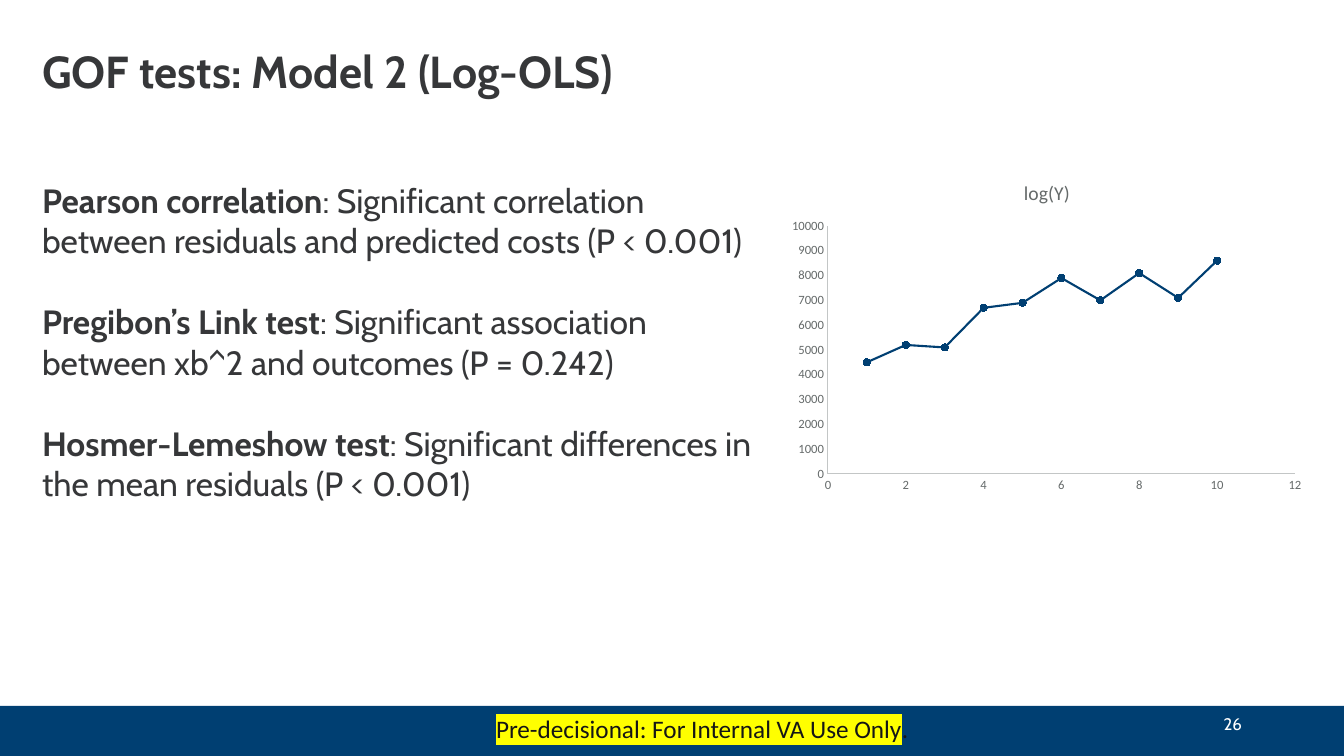
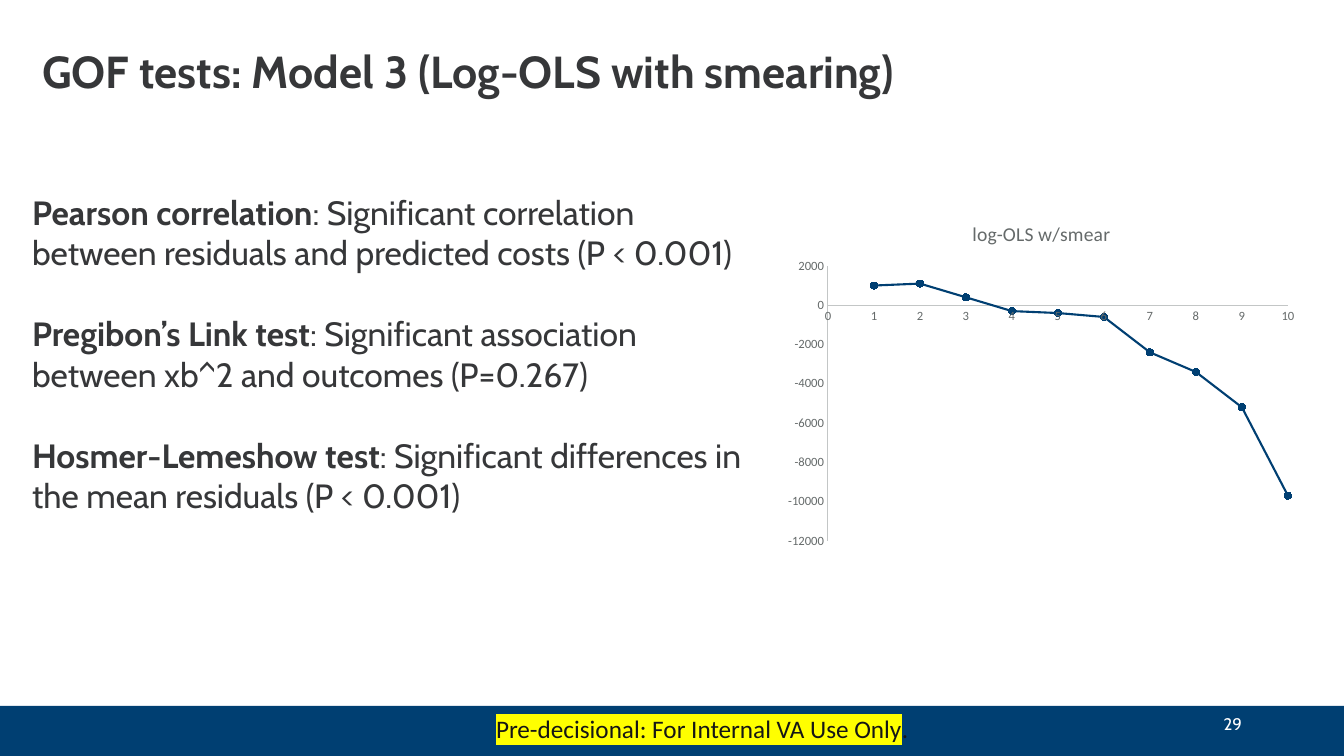
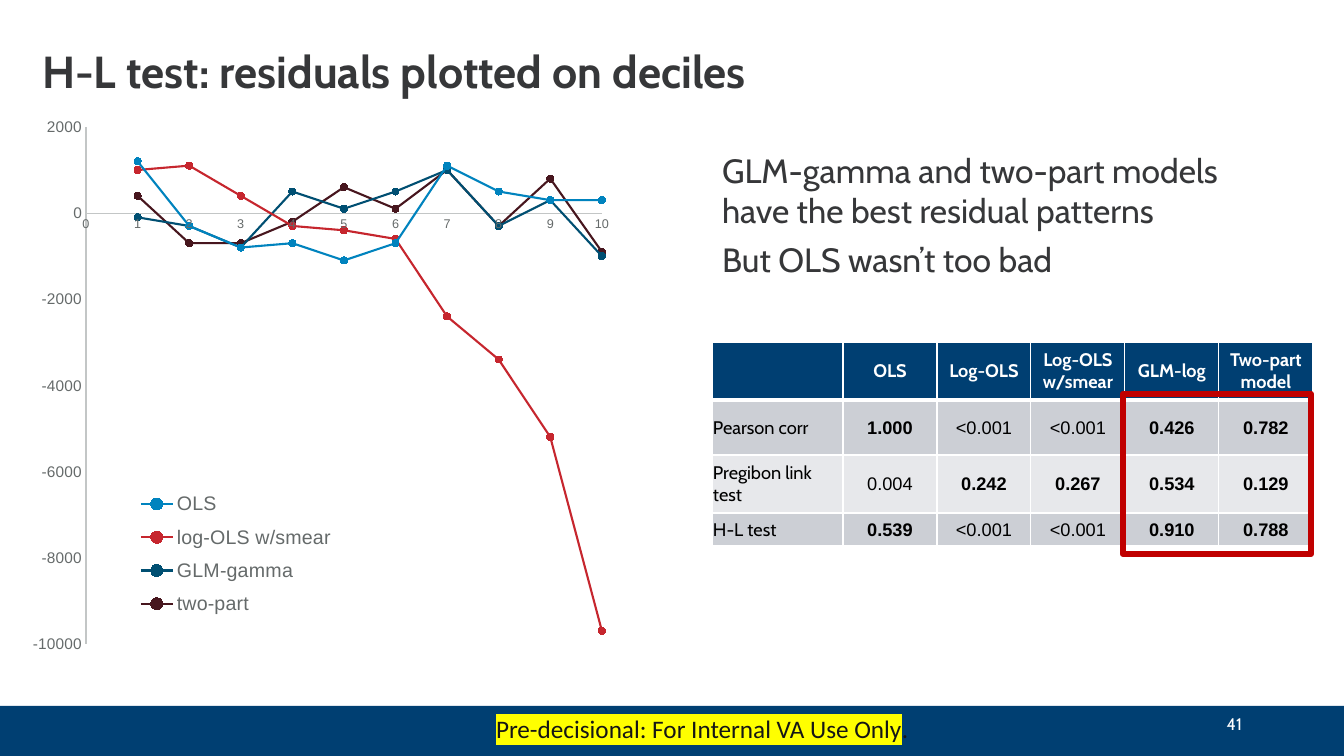
import lxml.etree
import pptx
import pptx.chart.data
import pptx.dml.color
import pptx.enum.chart
import pptx.enum.shapes
import pptx.enum.text
import pptx.oxml.ns
import pptx.util

RGB = pptx.dml.color.RGBColor
Pt = pptx.util.Pt
qn = pptx.oxml.ns.qn
ALIGN = pptx.enum.text.PP_ALIGN
MIDDLE = pptx.enum.text.MSO_ANCHOR.MIDDLE
TOP = pptx.enum.text.MSO_ANCHOR.TOP

NAVY = RGB(0x00, 0x3F, 0x72)
INK = RGB(0x36, 0x37, 0x39)
NEAR_BLACK = RGB(0x15, 0x16, 0x16)
BLACK = RGB(0x00, 0x00, 0x00)
WHITE = RGB(0xFF, 0xFF, 0xFF)
YELLOW = RGB(0xFF, 0xFF, 0x00)
AXIS_TEXT = RGB(0x65, 0x6A, 0x6A)
AXIS_LINE = RGB(0xC3, 0xC6, 0xC6)
ROW_DARK = RGB(0xCC, 0xCF, 0xD5)
ROW_LIGHT = RGB(0xE7, 0xE8, 0xEB)
FRAME_RED = RGB(0xC0, 0x00, 0x00)
SKY = RGB(0x00, 0x83, 0xBE)
RED = RGB(0xC6, 0x26, 0x2E)
TEAL = RGB(0x00, 0x4F, 0x72)
MAROON = RGB(0x47, 0x16, 0x1E)

SCALE = 914400 / 100.8
WIDTH, HEIGHT = 1344, 756
BAND_TOP = 706
SMEAR = [1000, 1100, 400, -300, -400, -600, -2400, -3400, -5200, -9700]


def px(length):
    return round(length * SCALE)


def apply(target, values):
    for name, value in values.items():
        setattr(target, name, value)


def set_font(font, name, size, colour, bold=False):
    apply(font, {"name": name, "size": Pt(size), "bold": bold})
    font.color.rgb = colour


def set_place(part, box, frame, inner=False):
    """Fix a chart part at a px box given on the slide."""
    for old in part.findall(qn("c:layout")):
        part.remove(old)
    layout = lxml.etree.Element(qn("c:layout"))
    manual = lxml.etree.SubElement(layout, qn("c:manualLayout"))
    left, top, width, height = frame
    values = {"layoutTarget": "inner"} if inner else {}
    values |= {"xMode": "edge", "yMode": "edge",
               "x": (box[0] - left) / width, "y": (box[1] - top) / height,
               "w": box[2] / width, "h": box[3] / height}
    for tag, value in values.items():
        lxml.etree.SubElement(manual, qn("c:" + tag)).set("val", str(value))
    part.insert(0 if inner else 1, layout)


def set_borders(cell, widths):
    properties = cell._tc.get_or_add_tcPr()
    for side, width in widths.items():
        line = lxml.etree.SubElement(properties, qn("a:ln" + side), w=str(Pt(width)))
        fill = lxml.etree.SubElement(line, qn("a:solidFill"))
        lxml.etree.SubElement(fill, qn("a:srgbClr"), val=str(WHITE))


class Deck:
    """Holds the shared style and the slide being built."""

    def __init__(self):
        self.file = pptx.Presentation()
        apply(self.file, {"slide_width": px(WIDTH), "slide_height": px(HEIGHT)})

    def place(self, shape, box):
        apply(shape, dict(zip(("left", "top", "width", "height"), map(px, box))))
        return shape

    def new_slide(self, heading, number):
        self.slide = self.file.slides.add_slide(self.file.slide_layouts[1])
        self.rectangle((0, BAND_TOP, WIDTH, HEIGHT - BAND_TOP), fill=NAVY)

        title = self.place(self.slide.shapes.title, (32, 32, 1159, 84))
        apply(title.text_frame, {"vertical_anchor": MIDDLE, "word_wrap": True,
                                 "auto_size": pptx.enum.text.MSO_AUTO_SIZE.NONE})
        line = title.text_frame.paragraphs[0]
        apply(line, {"alignment": ALIGN.LEFT, "line_spacing": 0.9})
        self.run(line, heading, "Cabin", 32, INK, True)

        page = self.text_line((950, BAND_TOP, 302, 35), ALIGN.RIGHT, MIDDLE)
        self.run(page, str(number), "Cabin", 12, WHITE)
        notice = self.text_line((462, 708, 486, 40), ALIGN.CENTER, TOP)
        marked = self.run(notice, "Pre-decisional: For Internal VA Use Only",
                          "Calibri", 18, NEAR_BLACK)
        highlight = lxml.etree.Element(qn("a:highlight"))
        lxml.etree.SubElement(highlight, qn("a:srgbClr"), val=str(YELLOW))
        marked._r.rPr.find(qn("a:solidFill")).addnext(highlight)
        self.run(notice, ". ", "Calibri", 18, NEAR_BLACK)

    def run(self, paragraph, text, *face):
        run = paragraph.add_run()
        run.text = text
        set_font(run.font, *face)
        return run

    def text_line(self, box, alignment, anchor):
        frame = self.slide.shapes.add_textbox(*map(px, box)).text_frame
        apply(frame, {"word_wrap": True, "vertical_anchor": anchor})
        frame.paragraphs[0].alignment = alignment
        return frame.paragraphs[0]

    def rectangle(self, box, fill=None, outline=None, weight=0):
        shape = self.slide.shapes.add_shape(
            pptx.enum.shapes.MSO_SHAPE.RECTANGLE, *map(px, box))
        shape.shadow.inherit = False
        if fill is None:
            shape.fill.background()
        else:
            shape.fill.solid()
            shape.fill.fore_color.rgb = fill
        if outline is None:
            shape.line.fill.background()
        else:
            shape.line.color.rgb = outline
            shape.line.width = Pt(weight)

    def body(self, box, findings, gap):
        """Fill the body with (bold lead, plain rest) paragraphs."""
        frame = self.place(self.slide.placeholders[1], box).text_frame
        apply(frame, {"word_wrap": True, "vertical_anchor": TOP,
                      "auto_size": pptx.enum.text.MSO_AUTO_SIZE.NONE})
        for index, (lead, rest) in enumerate(findings):
            paragraph = frame.add_paragraph() if index else frame.paragraphs[0]
            apply(paragraph, {"space_before": Pt(0), "space_after": Pt(gap),
                              "alignment": ALIGN.LEFT})
            properties = paragraph._p.get_or_add_pPr()
            properties.set("marL", "0")
            properties.set("indent", "0")
            lxml.etree.SubElement(properties, qn("a:buNone"))
            if lead:
                self.run(paragraph, lead, "Cabin", 24, INK, True)
            self.run(paragraph, rest, "Cabin", 24, INK)

    def scatter(self, box, plot_box, series, x_axis, y_axis, font="Calibri",
                y_size=9, title=None, legend_box=None):
        """Axes are (minimum, maximum, step); series are (name, colour, values)."""
        data = pptx.chart.data.XyChartData()
        for name, _, values in series:
            points = data.add_series(name)
            for decile, value in enumerate(values, 1):
                points.add_data_point(decile, value)
        chart = self.slide.shapes.add_chart(
            pptx.enum.chart.XL_CHART_TYPE.XY_SCATTER_LINES,
            *map(px, box), data).chart
        set_font(chart.font, "Calibri", 10, NEAR_BLACK)
        chart.has_title = title is not None
        if title:
            heading = chart.chart_title
            heading.include_in_layout = False
            self.run(heading.text_frame.paragraphs[0], title, font, 14, AXIS_TEXT)

        chart.plots[0].vary_by_categories = False
        for (_, colour, _), line in zip(series, chart.plots[0].series):
            line.format.line.color.rgb = colour
            line.format.line.width = Pt(1.5)
            apply(line.marker, {"style": pptx.enum.chart.XL_MARKER_STYLE.CIRCLE,
                                "size": 5})
            line.marker.format.fill.solid()
            line.marker.format.fill.fore_color.rgb = colour
            line.marker.format.line.color.rgb = colour

        no_tick = pptx.enum.chart.XL_TICK_MARK.NONE
        for axis, limits, size in ((chart.category_axis, x_axis, 9),
                                   (chart.value_axis, y_axis, y_size)):
            low, high, step = limits
            apply(axis, {"minimum_scale": low, "maximum_scale": high,
                         "major_unit": step, "has_major_gridlines": False,
                         "major_tick_mark": no_tick, "minor_tick_mark": no_tick})
            set_font(axis.tick_labels.font, font, size, AXIS_TEXT)
            axis.format.line.color.rgb = AXIS_LINE
            axis.format.line.width = Pt(0.75)

        set_place(chart._chartSpace.find(".//" + qn("c:plotArea")),
                  plot_box, box, inner=True)
        chart.has_legend = legend_box is not None
        if legend_box:
            apply(chart.legend, {
                "position": pptx.enum.chart.XL_LEGEND_POSITION.BOTTOM,
                "include_in_layout": False})
            set_font(chart.legend.font, font, 14, AXIS_TEXT)
            set_place(chart._chartSpace.find(".//" + qn("c:legend")),
                      legend_box, box)

    def p_value_table(self, left, top, widths, heights, rows):
        """Draw test results, with p-values of 0.05 or more in bold."""
        table = self.slide.shapes.add_table(
            len(rows), len(widths),
            *map(px, (left, top, sum(widths), sum(heights)))).table
        apply(table, {"first_row": False, "horz_banding": False})
        for column, width in zip(table.columns, widths):
            column.width = px(width)
        for r, (row, height) in enumerate(zip(rows, heights)):
            table.rows[r].height = px(height)
            fill = NAVY if r == 0 else ROW_DARK if r % 2 else ROW_LIGHT
            for c, text in enumerate(row):
                cell = table.cell(r, c)
                set_borders(cell, {"L": 1, "R": 1, "T": 3 if r == 1 else 1,
                                   "B": 3 if r == 0 else 1})
                cell.fill.solid()
                cell.fill.fore_color.rgb = fill
                apply(cell, {"vertical_anchor": MIDDLE, "margin_left": px(1),
                             "margin_right": px(1), "margin_top": px(1),
                             "margin_bottom": 0})
                paragraph = cell.text_frame.paragraphs[0]
                is_value = r > 0 and c > 0
                paragraph.alignment = ALIGN.CENTER if r == 0 or c else ALIGN.LEFT
                bold = r == 0 or (is_value and text[0] != "<"
                                  and float(text) >= 0.05)
                face = ("Arial" if is_value else "Cabin", 13,
                        BLACK if r else WHITE, bold)
                if text:
                    self.run(paragraph, text, *face)
                else:
                    set_font(paragraph.font, *face)


def test_findings(link_p):
    return [
        ("Pearson correlation", ": Significant correlation between residuals "
                                "and predicted costs (P < 0.001)"),
        ("Pregibon’s Link test", ": Significant association between xb^2 "
                                 f"and outcomes ({link_p})"),
        ("Hosmer-Lemeshow test", ": Significant differences in the mean "
                                 "residuals (P < 0.001)"),
    ]


def main():
    deck = Deck()

    deck.new_slide("GOF tests: Model 2 (Log-OLS)", 26)
    deck.body((32, 175, 736, 336), test_findings("P = 0.242"), 29)
    log_costs = [4500, 5200, 5100, 6700, 6900, 7900, 7000, 8100, 7100, 8600]
    deck.scatter((782, 164, 530, 336), (828, 226, 467, 248),
                 [("log(Y)", NAVY, log_costs)],
                 (0, 12, 2), (0, 10000, 1000), title="log(Y)")

    deck.new_slide("GOF tests: Model 3 (Log-OLS with smearing)", 29)
    deck.body((22, 187, 735, 417), test_findings("P=0.267"), 29)
    deck.scatter((778, 204, 527, 353), (828, 266, 460, 275),
                 [("log-OLS w/smear", NAVY, SMEAR)],
                 (0, 10, 1), (-12000, 2000, 2000), title="log-OLS w/smear")

    deck.new_slide("H-L test: residuals plotted on deciles", 41)
    deck.scatter(
        (22, 107, 600, 596), (86, 127, 516, 517),
        [("OLS", SKY,
          [1200, -300, -800, -700, -1100, -700, 1100, 500, 300, 300]),
         ("log-OLS w/smear", RED, SMEAR),
         ("GLM-gamma", TEAL,
          [-100, -300, -800, 500, 100, 500, 1000, -300, 300, -1000]),
         ("two-part", MAROON,
          [400, -700, -700, -200, 600, 100, 1000, -300, 800, -900])],
        (0, 10, 1), (-10000, 2000, 2000), font="Arial", y_size=11,
        legend_box=(136, 482, 200, 144))
    deck.body((712, 145, 566, 141),
              [("", "GLM-gamma and two-part models have the best residual patterns"),
               ("", "But OLS wasn’t too bad")], 6)
    deck.p_value_table(
        712, 342, [131] + [94] * 5, [58, 55, 58, 33],
        [["", "OLS", "Log-OLS", "Log-OLS w/smear", "GLM-log", "Two-part model"],
         ["Pearson corr", "1.000", "<0.001", "<0.001", "0.426", "0.782"],
         ["Pregibon link test", "0.004", "0.242", "0.267", "0.534", "0.129"],
         ["H-L test", "0.539", "<0.001", "<0.001", "0.910", "0.788"]])
    deck.rectangle((1123, 394, 188, 160), outline=FRAME_RED, weight=4.5)

    deck.file.save("out.pptx")


if __name__ == "__main__":
    main()
